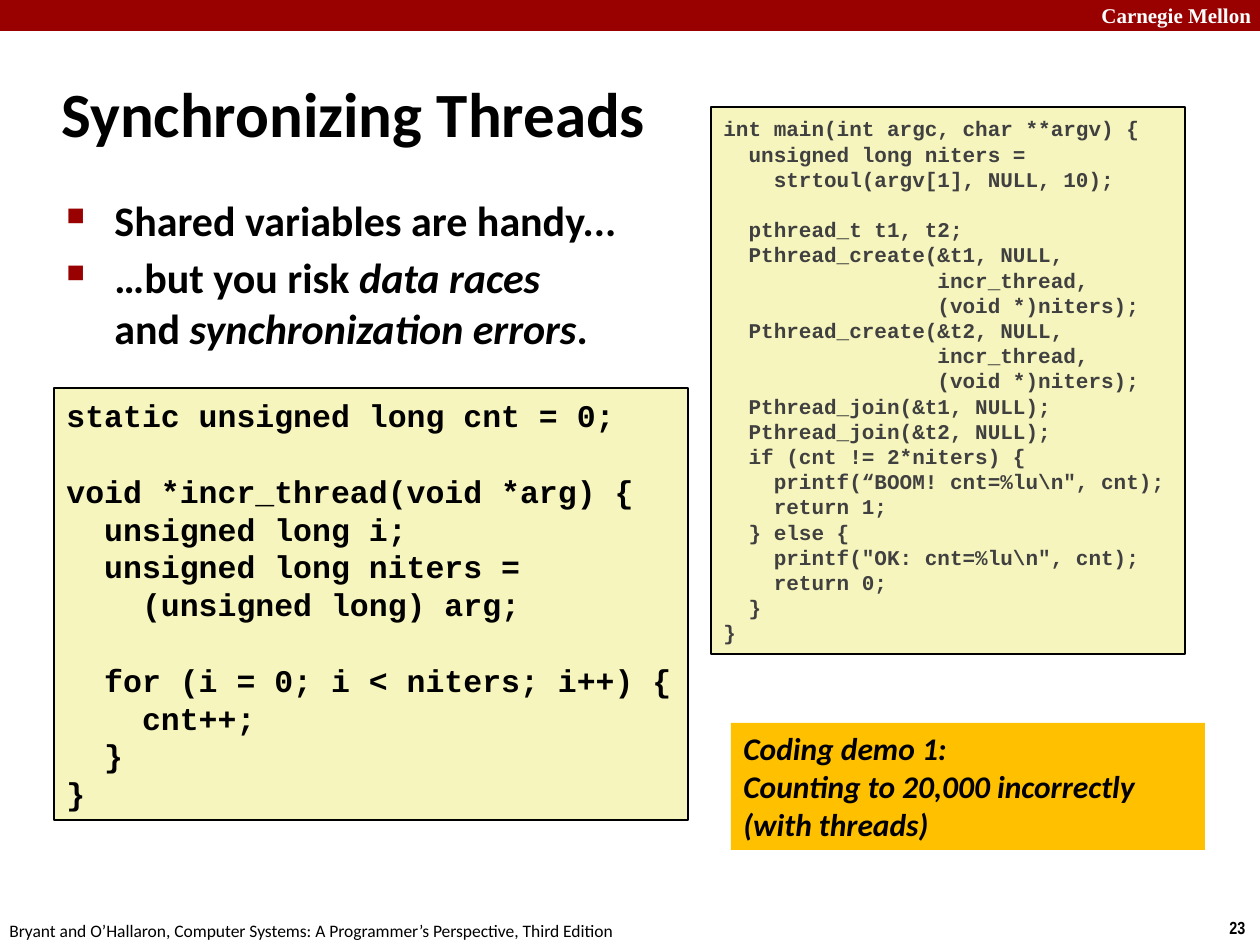
from copy import deepcopy

from pptx import Presentation
from pptx.dml.color import RGBColor
from pptx.enum.shapes import MSO_SHAPE
from pptx.enum.text import MSO_ANCHOR, MSO_AUTO_SIZE, PP_ALIGN
from pptx.oxml import parse_xml
from pptx.oxml.ns import nsdecls, qn
from pptx.util import Pt

RECTANGLE = MSO_SHAPE.RECTANGLE
TOP, MIDDLE = MSO_ANCHOR.TOP, MSO_ANCHOR.MIDDLE
GROW, FIXED = MSO_AUTO_SIZE.SHAPE_TO_FIT_TEXT, MSO_AUTO_SIZE.NONE
LEFT = PP_ALIGN.LEFT

PIXELS_PER_INCH = 126
COLORS = {
    "band": "990000",
    "code": "F6F5BD",
    "demo": "FFC000",
    "black": "000000",
    "gray": "404040",
    "white": "FFFFFF",
}

THREAD_CODE = """static unsigned long cnt = 0;

void *incr_thread(void *arg) {
  unsigned long i;
  unsigned long niters =
    (unsigned long) arg;

  for (i = 0; i < niters; i++) {
    cnt++;
  }
}"""

MAIN_CODE = r"""int main(int argc, char **argv) {
  unsigned long niters =
    strtoul(argv[1], NULL, 10);

  pthread_t t1, t2;
  Pthread_create(&t1, NULL,
                 incr_thread,
                 (void *)niters);
  Pthread_create(&t2, NULL,
                 incr_thread,
                 (void *)niters);
  Pthread_join(&t1, NULL);
  Pthread_join(&t2, NULL);
  if (cnt != 2*niters) {
    printf(“BOOM! cnt=%lu\n", cnt);
    return 1;
  } else {
    printf("OK: cnt=%lu\n", cnt);
    return 0;
  }
}"""

BULLETS = [
    [("Shared variables are handy...", False)],
    [("…but you risk ", False), ("data races\n", True), ("and ", False),
     ("synchronization errors", True), (".", False)],
]


def px(length):
    return round(length * 914400 / PIXELS_PER_INCH)


def color(name):
    return RGBColor.from_string(COLORS[name])


def text_format(name, size, bold=True, italic=False):
    return {"name": name, "size": Pt(size), "bold": bold, "italic": italic}


def write(paragraph, text, font_format, font_color="black"):
    """Add text to a paragraph, with line breaks as tall as its lines."""
    for index, line in enumerate(text.split("\n")):
        if index:
            paragraph.add_line_break()
        run = paragraph.add_run()
        run.text = line
        for attribute, value in font_format.items():
            setattr(run.font, attribute, value)
        run.font.color.rgb = color(font_color)
        if index:
            line_break = run._r.getprevious()
            line_break.append(deepcopy(run._r.find(qn("a:rPr"))))


def set_frame(shape, wrap=True, anchor=TOP, auto_size=GROW):
    frame = shape.text_frame
    frame.word_wrap = wrap
    frame.vertical_anchor = anchor
    frame.auto_size = auto_size
    frame.paragraphs[0].alignment = LEFT
    return frame


def add_label(slide, box, text, font_format, font_color="black", **frame_options):
    shape = slide.shapes.add_textbox(*map(px, box))
    frame = set_frame(shape, **frame_options)
    write(frame.paragraphs[0], text, font_format, font_color)


def add_panel(slide, box, fill, outlined=False):
    shape = slide.shapes.add_shape(RECTANGLE, *map(px, box))
    shape.shadow.inherit = False
    shape.fill.solid()
    shape.fill.fore_color.rgb = color(fill)
    if outlined:
        shape.line.color.rgb = color("black")
        shape.line.width = Pt(1)
    else:
        shape.line.fill.background()
    return shape


def add_code(slide, box, code, size, font_color="black"):
    shape = add_panel(slide, box, "code", outlined=True)
    frame = set_frame(shape, wrap=False, anchor=MIDDLE)
    write(frame.paragraphs[0], code, text_format("Courier New", size), font_color)


def add_bullets(slide, box, items):
    shape = slide.shapes.add_textbox(*map(px, box))
    frame = set_frame(shape, auto_size=FIXED)
    for index, pieces in enumerate(items):
        paragraph = frame.add_paragraph() if index else frame.paragraphs[0]
        if index:
            paragraph.space_before = Pt(4)
        properties = paragraph._p.get_or_add_pPr()
        properties.set("marL", str(px(48)))
        properties.set("indent", str(-px(48)))
        for markup in (
            f'<a:buClr {nsdecls("a")}><a:srgbClr val="{COLORS["band"]}"/></a:buClr>',
            f'<a:buSzPct {nsdecls("a")} val="60000"/>',
            f'<a:buChar {nsdecls("a")} char="■"/>',
        ):
            properties.append(parse_xml(markup))
        for text, italic in pieces:
            write(paragraph, text, text_format("Calibri", 24, italic=italic))


def main():
    presentation = Presentation()
    presentation.slide_width, presentation.slide_height = px(1260), px(945)
    slide = presentation.slides.add_slide(presentation.slide_layouts[6])

    # Header band and footer
    add_panel(slide, (0, 0, 1260, 31), "band")
    add_label(slide, (1089, -4, 180, 38), "Carnegie Mellon",
              text_format("Times New Roman", 12), "white")
    add_label(slide, (1217, 911, 43, 34), "23",
              text_format("Arial Narrow", 10), wrap=False)
    add_label(slide, (-3, 914, 640, 34),
              "Bryant and O’Hallaron, Computer Systems: "
              "A Programmer’s Perspective, Third Edition",
              text_format("Calibri", 10, bold=False), wrap=False)

    # Title and bullets
    add_label(slide, (49, 60, 1046, 105), "Synchronizing Threads",
              text_format("Calibri", 36), anchor=MIDDLE, auto_size=FIXED)
    add_bullets(slide, (54, 188, 1089, 685), BULLETS)

    # Demo note
    demo = add_panel(slide, (731, 723, 474, 127), "demo")
    write(set_frame(demo).paragraphs[0],
          "Coding demo 1:\nCounting to 20,000 incorrectly\n(with threads)",
          text_format("Calibri", 18, italic=True))

    # Code listings
    add_code(slide, (54, 388, 634, 432), THREAD_CODE, 18)
    add_code(slide, (711, 107, 474, 547), MAIN_CODE, 12, "gray")

    presentation.save("out.pptx")


if __name__ == "__main__":
    main()
